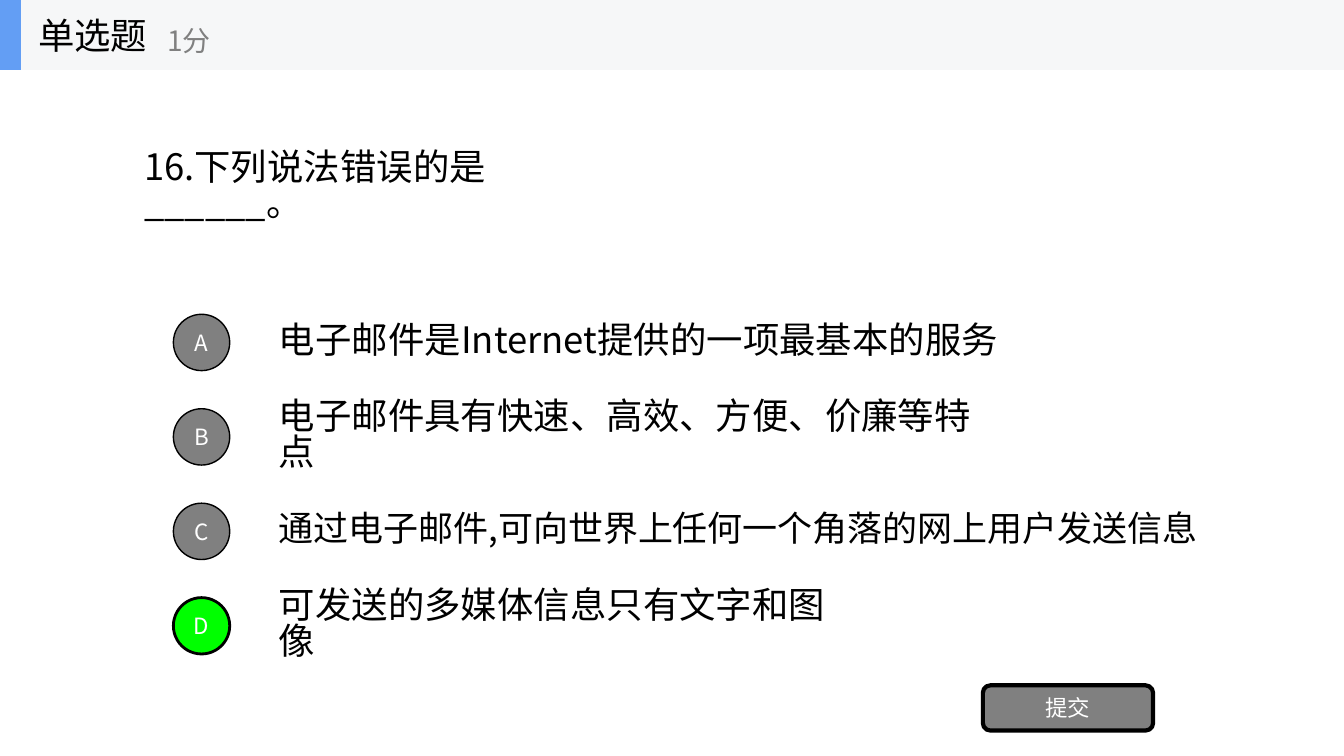
from dataclasses import dataclass
from typing import Any

from lxml import etree
from pptx import Presentation
from pptx.dml.color import RGBColor
from pptx.enum.shapes import MSO_SHAPE
from pptx.enum.text import MSO_ANCHOR, MSO_AUTO_SIZE, PP_ALIGN
from pptx.oxml.ns import qn
from pptx.util import Cm, Pt

RECTANGLE = MSO_SHAPE.RECTANGLE
ROUNDED = MSO_SHAPE.ROUNDED_RECTANGLE
OVAL = MSO_SHAPE.OVAL
MIDDLE = MSO_ANCHOR.MIDDLE
GROW = MSO_AUTO_SIZE.SHAPE_TO_FIT_TEXT
FIXED = MSO_AUTO_SIZE.NONE
LEFT = PP_ALIGN.LEFT
CENTER = PP_ALIGN.CENTER


@dataclass(frozen=True)
class Theme:
    font: str = "Noto Sans CJK SC"
    ink: str = "000000"
    muted: str = "808080"
    light: str = "FFFFFF"
    correct: str = "00FF00"
    band: str = "F6F7F8"
    accent: str = "639EF4"
    body: int = 26
    compact: int = 25
    score: int = 20
    label: int = 16
    wrapped_spacing: float = 0.83


@dataclass(frozen=True)
class Box:
    left: float
    top: float
    width: float
    height: float

    def lengths(self) -> tuple[Cm, Cm, Cm, Cm]:
        return Cm(self.left), Cm(self.top), Cm(self.width), Cm(self.height)


@dataclass(frozen=True)
class Option:
    letter: str
    statement: str
    width: float
    size: int
    fill: str
    outline: int


THEME = Theme()
SLIDE_WIDTH, SLIDE_HEIGHT = 33.87, 19.05
HEADER_HEIGHT = 1.76
OPTION_TOP, OPTION_PITCH = 7.92, 2.38
BADGE_LEFT, BADGE_SIZE = 4.37, 1.42
STATEMENT_LEFT, STATEMENT_HEIGHT = 6.78, 1.35

OPTIONS = [
    Option("A", "电子邮件是Internet提供的一项最基本的服务", 18.64, THEME.body, THEME.muted, 1),
    Option("B", "电子邮件具有快速、高效、方便、价廉等特点", 18.85, THEME.body, THEME.muted, 1),
    Option("C", "通过电子邮件,可向世界上任何一个角落的网上用户发送信息", 23.65, THEME.compact, THEME.muted, 1),
    Option("D", "可发送的多媒体信息只有文字和图像", 15.19, THEME.body, THEME.correct, 2),
]


def apply_format(target: Any, values: dict[str, Any]) -> None:
    for name, value in values.items():
        setattr(target, name, value)


def write_text(shape: Any, wording: str, size: int, color: str, align: Any = LEFT,
               spacing: float = 1.0, fit: Any = FIXED) -> None:
    frame = shape.text_frame
    apply_format(frame, {"word_wrap": True, "auto_size": fit, "vertical_anchor": MIDDLE})
    paragraph = frame.paragraphs[0]
    apply_format(paragraph, {"alignment": align, "line_spacing": spacing})
    run = paragraph.add_run()
    run.text = wording
    apply_format(run.font, {"name": THEME.font, "size": Pt(size)})
    run.font.color.rgb = RGBColor.from_string(color)
    latin = run.font._element.find(qn("a:latin"))
    east_asian = etree.Element(qn("a:ea"), typeface=THEME.font)
    latin.addnext(east_asian)


def add_panel(shapes: Any, kind: Any, box: Box, fill: str, outline: int = 0) -> Any:
    panel = shapes.add_shape(kind, *box.lengths())
    panel.shadow.inherit = False
    panel.fill.solid()
    panel.fill.fore_color.rgb = RGBColor.from_string(fill)
    if outline:
        panel.line.color.rgb = RGBColor.from_string(THEME.ink)
        panel.line.width = Pt(outline)
    else:
        panel.line.fill.background()
    return panel


def add_button(shapes: Any, kind: Any, box: Box, fill: str, outline: int, label: str) -> None:
    button = add_panel(shapes, kind, box, fill, outline)
    write_text(button, label, THEME.label, THEME.light, CENTER)


def add_wrapped_text(shapes: Any, box: Box, wording: str, size: int) -> None:
    write_text(shapes.add_textbox(*box.lengths()), wording, size, THEME.ink,
               spacing=THEME.wrapped_spacing, fit=GROW)


def add_option(shapes: Any, option: Option, top: float) -> None:
    statement_box = Box(STATEMENT_LEFT, top + 0.03, option.width, STATEMENT_HEIGHT)
    add_wrapped_text(shapes, statement_box, option.statement, option.size)
    badge_box = Box(BADGE_LEFT, top, BADGE_SIZE, BADGE_SIZE)
    add_button(shapes, OVAL, badge_box, option.fill, option.outline, option.letter)


def add_header(shapes: Any) -> None:
    header = shapes.add_group_shape().shapes
    add_panel(header, RECTANGLE, Box(0, 0, SLIDE_WIDTH, HEADER_HEIGHT), THEME.band)
    add_panel(header, RECTANGLE, Box(0, 0, 0.53, HEADER_HEIGHT), THEME.accent)
    question_type = header.add_textbox(*Box(0.71, 0, 5.28, HEADER_HEIGHT).lengths())
    write_text(question_type, "单选题", THEME.body, THEME.ink)
    score = header.add_textbox(*Box(3.96, 0.31, 6.35, 1.42).lengths())
    write_text(score, "1分", THEME.score, THEME.muted)


def main() -> None:
    deck = Presentation()
    apply_format(deck, {"slide_width": Cm(SLIDE_WIDTH), "slide_height": Cm(SLIDE_HEIGHT)})
    shapes = deck.slides.add_slide(deck.slide_layouts[6]).shapes
    add_wrapped_text(shapes, Box(3.38, 4.06, 12.52, 1.35), "16.下列说法错误的是______。", THEME.body)
    for position, option in enumerate(OPTIONS):
        add_option(shapes, option, OPTION_TOP + position * OPTION_PITCH)
    add_button(shapes, ROUNDED, Box(24.77, 17.27, 4.29, 1.14), THEME.muted, 3, "提交")
    add_header(shapes)
    deck.save("out.pptx")


if __name__ == "__main__":
    main()
